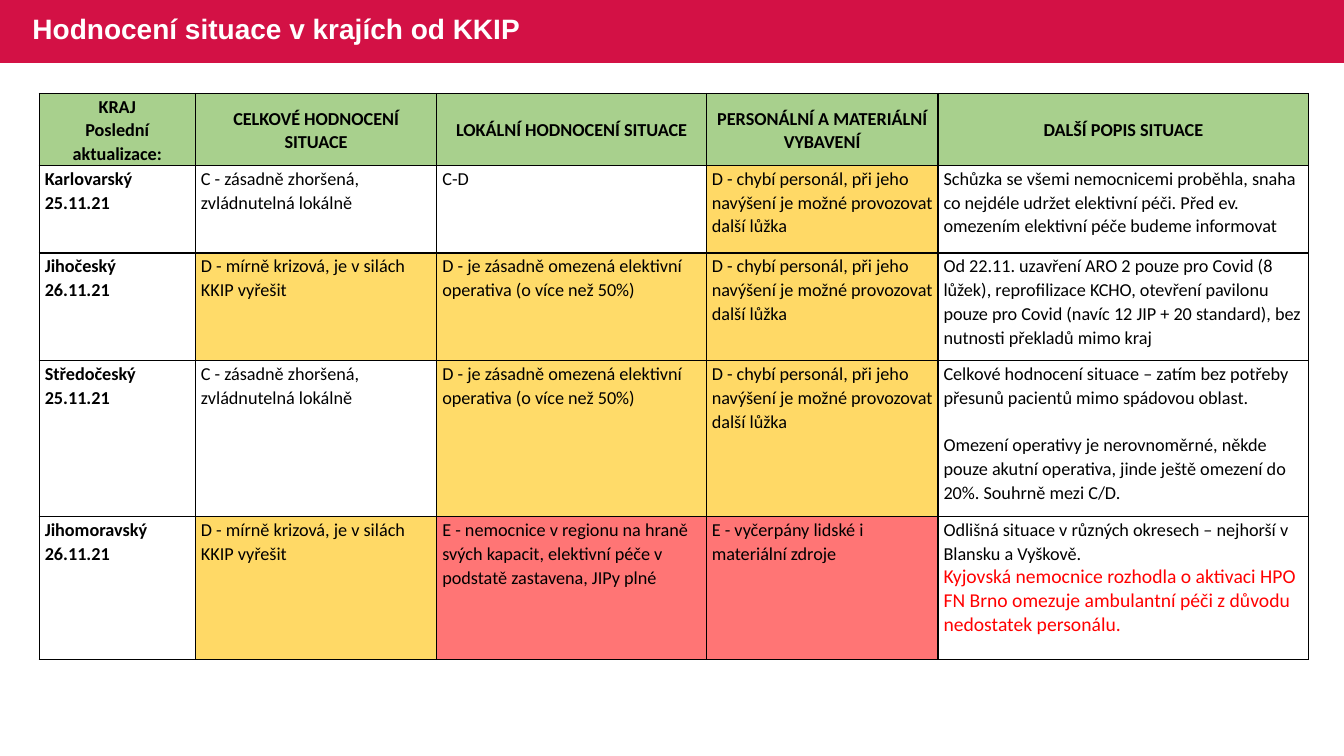
import pptx
import pptx.util
import pptx.dml.color
import pptx.enum.shapes
import pptx.enum.text
import pptx.oxml
import pptx.oxml.ns

Pt = pptx.util.Pt
ANCHOR = pptx.enum.text.MSO_ANCHOR
ALIGN = pptx.enum.text.PP_ALIGN

BLACK, WHITE, RED = "000000", "FFFFFF", "FF0000"
BRAND, GREEN, CORAL = "D31145", "A8D08D", "FF7575"
AMBER, LIGHT_AMBER = "FFD966", "FFDB69"
LINE_GAP = 17

COLUMNS = [111.5, 172.5, 192.5, 165.5, 265]
ROWS = [50.5, 62.5, 77, 111.5, 102]
HEADERS = [
    ["KRAJ", "Poslední aktualizace:"],
    ["CELKOVÉ HODNOCENÍ SITUACE"],
    ["LOKÁLNÍ HODNOCENÍ SITUACE"],
    ["PERSONÁLNÍ A MATERIÁLNÍ VYBAVENÍ"],
    ["DALŠÍ POPIS SITUACE"],
]
WORSE = "C - zásadně zhoršená, zvládnutelná lokálně"
MILD_CRISIS = "D - mírně krizová, je v silách KKIP vyřešit"
LIMITED = "D - je zásadně omezená elektivní operativa (o více než 50%)"
UNDERSTAFFED = "D - chybí personál, při jeho navýšení je možné provozovat další lůžka"

REGIONS = [
    (["Karlovarský", "25.11.21"],
     [(WORSE, None), ("C-D", None), (UNDERSTAFFED, AMBER)],
     ["Schůzka se všemi nemocnicemi proběhla, snaha co nejdéle udržet elektivní péči. "
      "Před ev. omezením elektivní péče budeme informovat"], []),
    (["Jihočeský", "26.11.21"],
     [(MILD_CRISIS, LIGHT_AMBER), (LIMITED, LIGHT_AMBER), (UNDERSTAFFED, AMBER)],
     ["Od 22.11. uzavření ARO 2 pouze pro Covid (8 lůžek), reprofilizace KCHO, "
      "otevření pavilonu pouze pro Covid (navíc 12 JIP + 20 standard), "
      "bez nutnosti překladů mimo kraj"], []),
    (["Středočeský", "25.11.21"],
     [(WORSE, None), (LIMITED, LIGHT_AMBER), (UNDERSTAFFED, AMBER)],
     ["Celkové hodnocení situace – zatím bez potřeby přesunů pacientů mimo spádovou oblast.",
      "Omezení operativy je nerovnoměrné, někde pouze akutní operativa, "
      "jinde ještě omezení do 20%. Souhrně mezi C/D."], []),
    (["Jihomoravský", "26.11.21"],
     [(MILD_CRISIS, AMBER),
      ("E - nemocnice v regionu na hraně svých kapacit, elektivní péče v podstatě "
       "zastavena, JIPy plné", CORAL),
      ("E - vyčerpány lidské i materiální zdroje", CORAL)],
     ["Odlišná situace v různých okresech – nejhorší v Blansku a Vyškově."],
     ["Kyjovská nemocnice rozhodla o aktivaci HPO",
      "FN Brno omezuje ambulantní péči z důvodu nedostatek personálu."]),
]


def rgb(color):
    return pptx.dml.color.RGBColor.from_string(color)


def add_run(p, text, size, color, bold=False, font="Calibri"):
    r = p.add_run()
    r.text = text
    r.font.name = font
    r.font.size = Pt(size)
    r.font.bold = bold
    r.font.color.rgb = rgb(color)


def add_borders(cell):
    tcPr = cell._tc.get_or_add_tcPr()
    for i, side in enumerate(("lnL", "lnR", "lnT", "lnB")):
        tcPr.insert(i, pptx.oxml.parse_xml(
            f'<a:{side} {pptx.oxml.ns.nsdecls("a")} w="12700"><a:solidFill>'
            f'<a:srgbClr val="{BLACK}"/></a:solidFill></a:{side}>'))


def fill_cell(cell, lines, fill=None, bold=False, header=False, alerts=(), gap=0):
    cell.margin_left = cell.margin_right = Pt(4)
    cell.margin_top, cell.margin_bottom = Pt(0.7), Pt(0)
    cell.vertical_anchor = ANCHOR.MIDDLE if header else ANCHOR.TOP
    if fill:
        cell.fill.solid()
        cell.fill.fore_color.rgb = rgb(fill)
    else:
        cell.fill.background()
    add_borders(cell)
    tf = cell.text_frame
    for i, text in enumerate([*lines, *alerts]):
        p = tf.paragraphs[0] if i == 0 else tf.add_paragraph()
        p.alignment = ALIGN.CENTER if header else ALIGN.LEFT
        if i and gap:
            p.space_before = Pt(gap)
        if i < len(lines):
            p.line_spacing = 1.07
            add_run(p, text, 13, BLACK, bold)
        else:
            add_run(p, text, 14, RED)


def add_title_band(s, left, top, width, height):
    band = s.shapes.add_shape(pptx.enum.shapes.MSO_SHAPE.RECTANGLE,
                              Pt(left), Pt(top), Pt(width), Pt(height))
    band.shadow.inherit = False
    band.fill.solid()
    band.fill.fore_color.rgb = rgb(BRAND)
    band.line.fill.background()
    title = s.shapes.title
    title.left, title.top = Pt(left + 16), Pt(top - 0.7)
    title.width, title.height = Pt(586), Pt(height)
    band.element.addnext(title.element)
    tf = title.text_frame
    tf.word_wrap = True
    tf.auto_size = pptx.enum.text.MSO_AUTO_SIZE.NONE
    tf.vertical_anchor = ANCHOR.MIDDLE
    p = tf.paragraphs[0]
    p.alignment = ALIGN.LEFT
    p.line_spacing = 0.9
    add_run(p, "Hodnocení situace v krajích od KKIP", 20, WHITE, True, "Arial")


def add_region_table(s, left, top):
    table = s.shapes.add_table(len(ROWS), len(COLUMNS), Pt(left), Pt(top),
                               Pt(sum(COLUMNS)), Pt(sum(ROWS))).table
    table.horz_banding = False
    for column, width in zip(table.columns, COLUMNS):
        column.width = Pt(width)
    for row, height in zip(table.rows, ROWS):
        row.height = Pt(height)
    for c, lines in enumerate(HEADERS):
        fill_cell(table.cell(0, c), lines, GREEN, bold=True, header=True)
    for r, (region, ratings, notes, alerts) in enumerate(REGIONS, 1):
        fill_cell(table.cell(r, 0), region, bold=True)
        for c, (rating, fill) in enumerate(ratings, 1):
            fill_cell(table.cell(r, c), [rating], fill)
        gap = LINE_GAP if len(notes) > 1 else 0
        fill_cell(table.cell(r, 4), notes, alerts=alerts, gap=gap)


def main():
    prs = pptx.Presentation()
    prs.slide_width, prs.slide_height = Pt(960), Pt(540)
    s = prs.slides.add_slide(prs.slide_layouts[5])
    add_title_band(s, 0, 0, 960, 45)
    add_region_table(s, 28, 66.7)
    prs.save("out.pptx")


if __name__ == "__main__":
    main()
